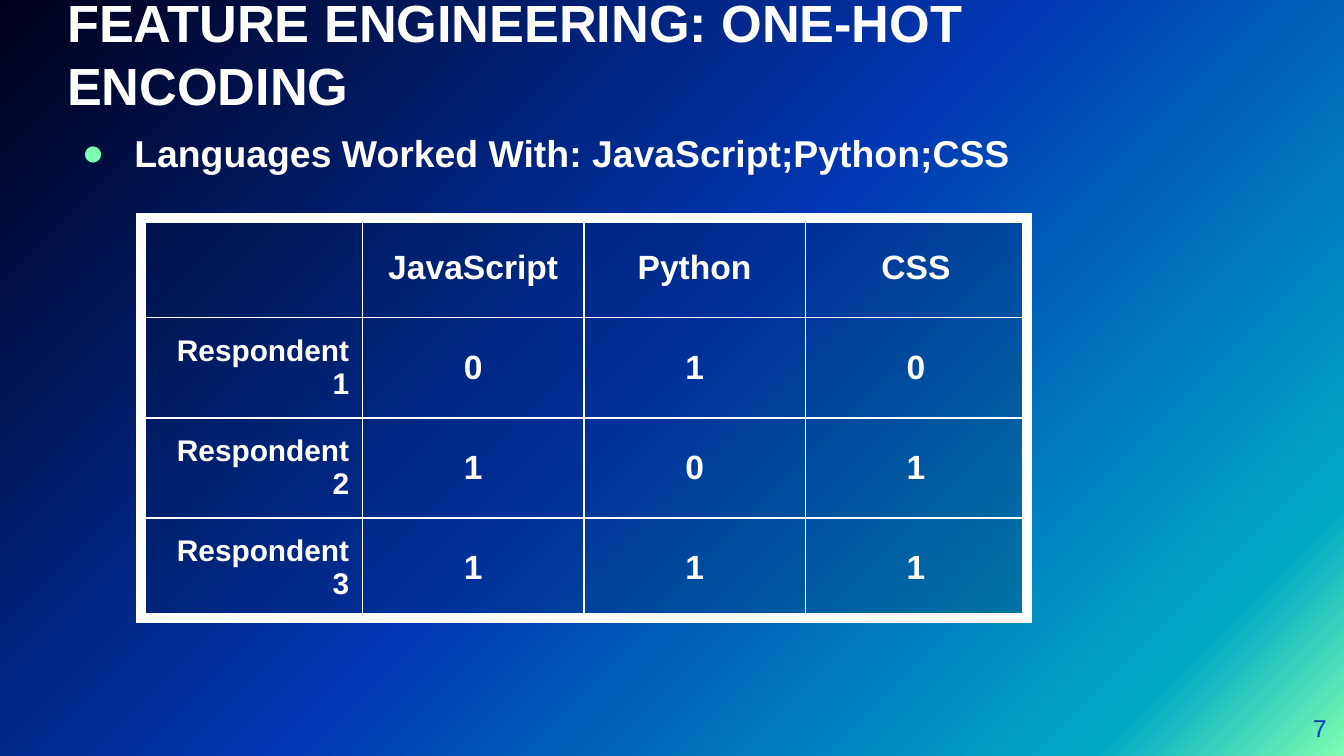
from dataclasses import dataclass

from lxml import etree
from pptx import Presentation
from pptx.dml import color
from pptx.enum import text
from pptx.oxml import ns
from pptx.util import Inches, Pt


@dataclass(frozen=True)
class Theme:
    font: str = "Arial"
    white: str = "FFFFFF"
    mint: str = "7DFFB1"
    blue: str = "0037B3"
    cell: str = "001230"
    cell_alpha: int = 19
    gradient: tuple = ((0, "7DFFB1"), (12, "00AAC6"), (51, "0037B3"), (100, "00001A"))
    title_size: int = 28
    body_size: int = 20
    value_size: int = 18
    label_size: int = 16
    number_size: int = 13
    thin: float = 0.75
    thick: float = 6


THEME = Theme()
HEADERS = ("", "JavaScript", "Python", "CSS")
RESPONSES = (
    ("Respondent 1", "0", "1", "0"),
    ("Respondent 2", "1", "0", "1"),
    ("Respondent 3", "1", "1", "1"),
)


def add_element(parent, tag, **attributes):
    element = etree.SubElement(parent, ns.qn(tag))
    for name, value in attributes.items():
        element.set(name, str(value))
    return element


def add_run(paragraph, words, size, rgb=THEME.white, bold=True):
    run = paragraph.add_run()
    run.text = words
    run.font.name = THEME.font
    run.font.size = Pt(size)
    run.font.bold = bold
    run.font.color.rgb = color.RGBColor.from_string(rgb)


def add_text_box(slide, box, anchor=text.MSO_ANCHOR.TOP):
    frame = slide.shapes.add_textbox(*map(Inches, box)).text_frame
    frame.word_wrap = True
    frame.vertical_anchor = anchor
    frame.margin_left = frame.margin_top = 0
    frame.margin_right = frame.margin_bottom = 0
    return frame.paragraphs[0]


def paint_background(slide):
    fill = slide.background.fill
    fill.gradient()
    fill.gradient_angle = 135
    stops = slide.background._cSld.find(".//" + ns.qn("a:gsLst"))
    for stop in list(stops):
        stops.remove(stop)
    for position, rgb in THEME.gradient:
        stop = add_element(stops, "a:gs", pos=position * 1000)
        add_element(stop, "a:srgbClr", val=rgb)


def add_title(slide, box, words):
    paragraph = add_text_box(slide, box, text.MSO_ANCHOR.BOTTOM)
    add_run(paragraph, words, THEME.title_size)


def add_bullet(slide, box, words):
    paragraph = add_text_box(slide, box)
    paragraph.space_before = Pt(6)
    properties = paragraph._p.get_or_add_pPr()
    properties.set("marL", str(Inches(0.5)))
    properties.set("indent", str(Inches(-0.39)))
    bullet_color = add_element(properties, "a:buClr")
    add_element(bullet_color, "a:srgbClr", val=THEME.mint)
    add_element(properties, "a:buFont", typeface=THEME.font)
    add_element(properties, "a:buChar", char="●")
    add_run(paragraph, words, THEME.body_size)


def add_page_number(slide, box, words):
    paragraph = add_text_box(slide, box, text.MSO_ANCHOR.MIDDLE)
    paragraph.alignment = text.PP_ALIGN.RIGHT
    add_run(paragraph, words, THEME.number_size, THEME.blue, bold=False)


def style_cell(cell, thick_sides):
    cell.vertical_anchor = text.MSO_ANCHOR.MIDDLE
    cell.margin_left = cell.margin_right = Inches(0.1)
    cell.margin_top = cell.margin_bottom = Inches(0.07)
    properties = cell._tc.get_or_add_tcPr()
    for side in "LRTB":
        width = THEME.thick if side in thick_sides else THEME.thin
        line = add_element(properties, f"a:ln{side}", w=Pt(width))
        solid = add_element(line, "a:solidFill")
        add_element(solid, "a:srgbClr", val=THEME.white)
    cell.fill.solid()
    cell.fill.fore_color.rgb = color.RGBColor.from_string(THEME.cell)
    shade = properties.find(ns.qn("a:solidFill")).find(ns.qn("a:srgbClr"))
    add_element(shade, "a:alpha", val=THEME.cell_alpha * 1000)


def add_encoding_table(slide, box, rows):
    last_row, last_column = len(rows) - 1, len(rows[0]) - 1
    table = slide.shapes.add_table(len(rows), len(rows[0]), *map(Inches, box)).table
    table.first_row = table.horz_banding = False
    for row, values in enumerate(rows):
        for column, value in enumerate(values):
            cell = table.cell(row, column)
            edges = {"L": column == 0, "R": column == last_column,
                     "T": row == 0, "B": row == last_row}
            style_cell(cell, [side for side, outer in edges.items() if outer])
            if not value:
                continue
            is_label = column == 0
            paragraph = cell.text_frame.paragraphs[0]
            paragraph.alignment = text.PP_ALIGN.RIGHT if is_label else text.PP_ALIGN.CENTER
            add_run(paragraph, value, THEME.label_size if is_label else THEME.value_size)


def main():
    presentation = Presentation()
    presentation.slide_width = Inches(10)
    presentation.slide_height = Inches(10 * 9 / 16)
    slide = presentation.slides.add_slide(presentation.slide_layouts[6])
    paint_background(slide)
    add_bullet(slide, (0.5, 0.97, 8.17, 3.45), "Languages Worked With: JavaScript;Python;CSS")
    add_title(slide, (0.5, -0.07, 8.51, 0.93), "FEATURE ENGINEERING: ONE-HOT ENCODING")
    add_page_number(slide, (9.27, 5.2, 0.6, 0.43), "7")
    add_encoding_table(slide, (1.05, 1.62, 6.59, 2.98), (HEADERS, *RESPONSES))
    presentation.save("out.pptx")


if __name__ == "__main__":
    main()
